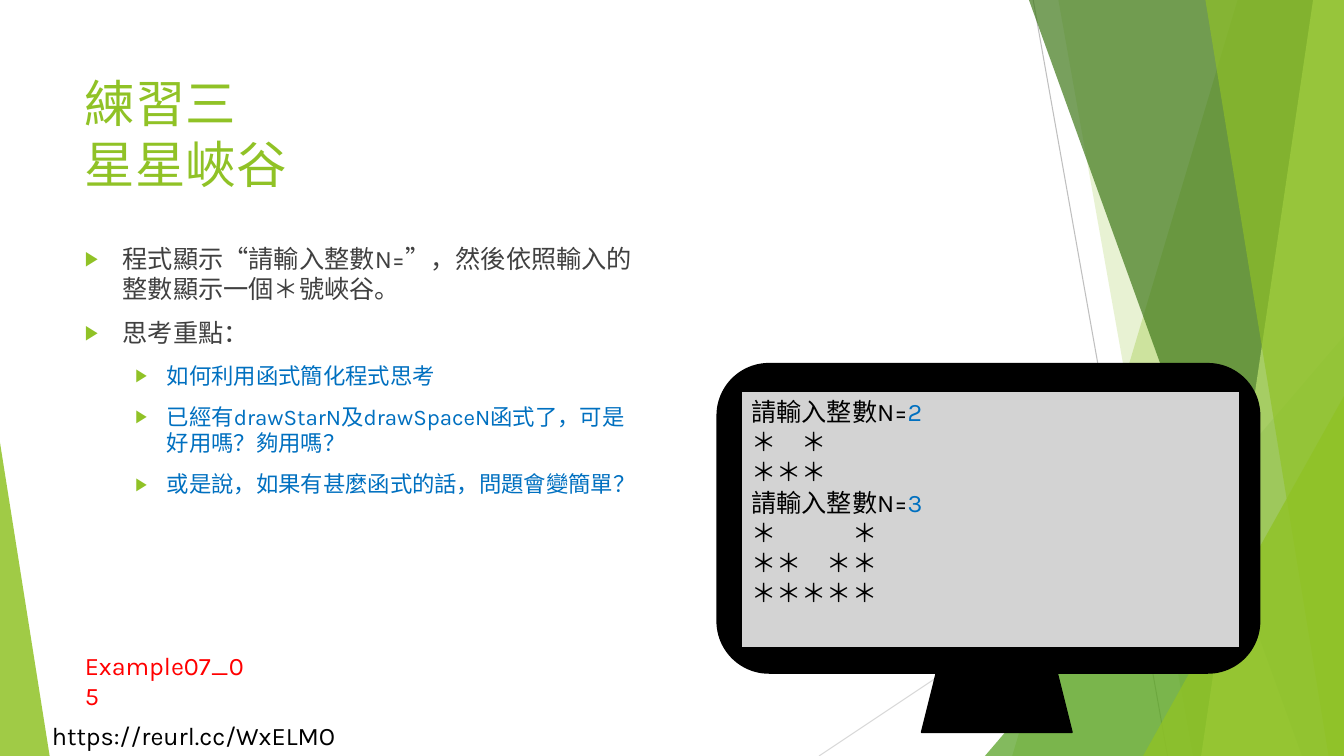
from lxml import etree
from pptx import Presentation
from pptx import util as u
from pptx.dml import color
from pptx.enum import shapes, text
from pptx.oxml import ns

Pt = u.Pt
WIDTH, HEIGHT = 960, 540
GREEN, BLACK, BLUE = "90C226", "000000", "0070C0"

FACETS_BEHIND = [(884, 723, GREEN, 30), (756, 852, GREEN, 20)]
FACETS_FRONT = [
    (735, 929.5, "3F7819", 70),
    (938, 858, "C0E474", 70),
    (861, 949, GREEN, 65),
]
TASKS = [
    (0, "程式顯示“請輸入整數N=”，然後依照輸入的整數顯示一個＊號峽谷。"),
    (0, "思考重點："),
    (1, "如何利用函式簡化程式思考"),
    (1, "已經有drawStarN及drawSpaceN函式了，可是好用嗎？夠用嗎？"),
    (1, "或是說，如果有甚麼函式的話，問題會變簡單？"),
]
LEVELS = [(27, -27, 18, "404040"), (58.5, -22.5, 16, BLUE)]
PROMPT = "請輸入整數N="
CONSOLE = [
    (PROMPT, "2"),
    ("＊　＊",),
    ("＊＊＊",),
    (PROMPT, "3"),
    ("＊　　　＊",),
    ("＊＊　＊＊",),
    ("＊＊＊＊＊",),
]


def rgb(code):
    """Turn a hex string into a colour."""
    return color.RGBColor.from_string(code)


def box(*lengths):
    """Convert point lengths to slide units."""
    return [Pt(length) for length in lengths]


def add_child(parent, tag, **attributes):
    """Append a DrawingML element."""
    return etree.SubElement(parent, ns.qn(tag), attributes)


def style_font(font, size, code):
    """Apply the slide's typeface with a size and colour."""
    font.name = "Karla"
    font.size = Pt(size)
    font.color.rgb = rgb(code)


def paint(shape, code, opacity=100):
    """Give a shape a flat, borderless fill."""
    shape.shadow.inherit = False
    shape.line.fill.background()
    shape.fill.solid()
    shape.fill.fore_color.rgb = rgb(code)
    if opacity < 100:
        fill = shape.fill._xPr.find(ns.qn("a:solidFill"))
        add_child(fill[0], "a:alpha", val=str(opacity * 1000))


def add_ray(slide, start, end, code):
    """Draw a thin background line."""
    ray = slide.shapes.add_connector(
        shapes.MSO_CONNECTOR.STRAIGHT, *box(*start, *end))
    ray.line.color.rgb = rgb(code)
    ray.line.width = Pt(0.75)
    add_child(ray._element.spPr, "a:effectLst")


def add_facet(slide, top_x, bottom_x, code, opacity):
    """Draw a translucent facet reaching the right edge."""
    outline = slide.shapes.build_freeform(top_x, 0, scale=Pt(1))
    outline.add_line_segments(
        [(WIDTH, 0), (WIDTH, HEIGHT), (bottom_x, HEIGHT)], close=True)
    paint(outline.convert_to_shape(), code, opacity)


def add_corner(slide, left, top, width, apex, code, opacity):
    """Draw a translucent triangle standing on the bottom edge."""
    corner = slide.shapes.add_shape(
        shapes.MSO_SHAPE.ISOSCELES_TRIANGLE,
        *box(left, top, width, HEIGHT - top))
    corner.adjustments[0] = apex
    paint(corner, code, opacity)


def add_backdrop(slide):
    """Draw the faceted background."""
    add_ray(slide, (738, 0), (834, HEIGHT), "BFBFBF")
    add_ray(slide, (WIDTH, 290), (585, HEIGHT), "D9D9D9")
    for facet in FACETS_BEHIND:
        add_facet(slide, *facet)
    add_corner(slide, 703.5, 240, 256.5, 1, "54A021", 72)
    for facet in FACETS_FRONT:
        add_facet(slide, *facet)
    add_corner(slide, 816.5, 283, 143.5, 1, GREEN, 80)
    add_corner(slide, 0, 316, 35.5, 0, GREEN, 85)


def place(placeholder, left, top, width, height):
    """Move a placeholder and anchor its text at the top."""
    placeholder.left, placeholder.top, placeholder.width, placeholder.height = box(
        left, top, width, height)
    placeholder.text_frame.vertical_anchor = text.MSO_ANCHOR.TOP
    placeholder.text_frame.auto_size = text.MSO_AUTO_SIZE.NONE


def fill_title(title):
    """Write the two-line heading."""
    place(title, 53.5, 48, 677, 104)
    heading = title.text_frame.paragraphs[0]
    heading.text = "練習三\v星星峽谷"
    heading.alignment = text.PP_ALIGN.LEFT
    for run in heading.runs:
        style_font(run.font, 36, GREEN)


def add_bullet(paragraph, margin, indent):
    """Give a paragraph a green arrow bullet and hanging indent."""
    properties = paragraph._p.get_or_add_pPr()
    properties.set("marL", str(Pt(margin)))
    properties.set("indent", str(Pt(indent)))
    add_child(add_child(properties, "a:buClr"), "a:srgbClr", val=GREEN)
    add_child(properties, "a:buSzPct", val="80000")
    add_child(properties, "a:buFont", typeface="Arial")
    add_child(properties, "a:buChar", char="▶")


def fill_tasks(body):
    """Write the task list on two levels."""
    place(body, 53.5, 170, 408, 305)
    frame = body.text_frame
    frame.text = "\n".join(wording for _, wording in TASKS)
    for index, (level, _) in enumerate(TASKS):
        task = frame.paragraphs[index]
        margin, indent, size, code = LEVELS[level]
        task.level = level
        task.space_before = Pt(10 if index else 0)
        add_bullet(task, margin, indent)
        style_font(task.runs[0].font, size, code)


def add_part(group, kind, code, *bounds):
    """Add one part of the monitor."""
    part = group.shapes.add_shape(kind, *box(*bounds))
    paint(part, code)
    part.line.color.rgb = rgb(BLACK)
    part.line.width = Pt(1.5)
    return part


def add_monitor(slide):
    """Draw the monitor with the sample session on its screen."""
    monitor = slide.shapes.add_group_shape()
    add_part(monitor, shapes.MSO_SHAPE.ROUNDED_RECTANGLE, BLACK, 512.5, 260, 387, 220.5)
    screen = add_part(monitor, shapes.MSO_SHAPE.RECTANGLE, "D3D3D3", 529.5, 279.5, 356, 183.5)
    add_part(monitor, shapes.MSO_SHAPE.TRAPEZOID, BLACK, 658.5, 480.5, 107, 42.5)
    frame = screen.text_frame
    frame.vertical_anchor = text.MSO_ANCHOR.TOP
    frame.text = "\n".join(parts[0] for parts in CONSOLE)
    for line, parts in zip(frame.paragraphs, CONSOLE):
        line.alignment = text.PP_ALIGN.LEFT
        for answer in parts[1:]:
            line.add_run().text = answer
        for run, code in zip(line.runs, (BLACK, BLUE)):
            style_font(run.font, 18, code)


def add_label(slide, wording, code, *bounds):
    """Add a small free-standing label."""
    label = slide.shapes.add_textbox(*box(*bounds))
    label.text_frame.word_wrap = True
    label.text_frame.text = wording
    style_font(label.text_frame.paragraphs[0].runs[0].font, 18, code)


def main():
    """Build and save the slide."""
    deck = Presentation()
    deck.slide_width, deck.slide_height = box(WIDTH, HEIGHT)
    slide = deck.slides.add_slide(deck.slide_layouts[1])
    add_backdrop(slide)
    add_label(slide, "https://reurl.cc/WxELMO", BLACK, 30, 511, 225, 29)
    fill_title(slide.shapes.title)
    fill_tasks(slide.placeholders[1])
    add_monitor(slide)
    add_label(slide, "Example07_05", "FF0000", 53.5, 461, 132, 29)
    deck.save("out.pptx")


if __name__ == "__main__":
    main()
